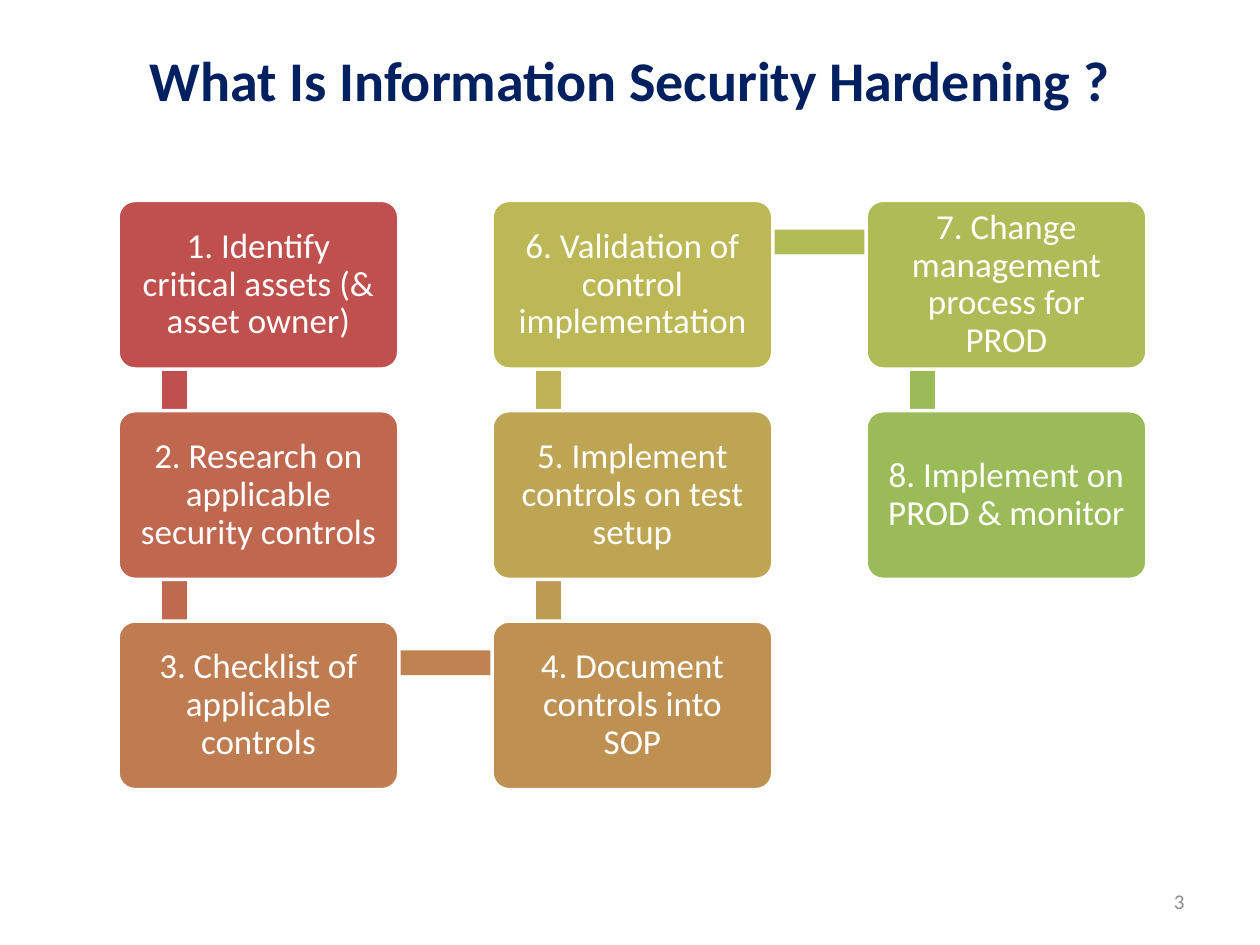
from pptx import Presentation
from pptx.dml.color import RGBColor
from pptx.enum.shapes import MSO_SHAPE
from pptx.enum.text import MSO_ANCHOR, PP_ALIGN
from pptx.util import Cm, Pt

RECTANGLE, ROUNDED = MSO_SHAPE.RECTANGLE, MSO_SHAPE.ROUNDED_RECTANGLE
CENTER, RIGHT = PP_ALIGN.CENTER, PP_ALIGN.RIGHT
MIDDLE = MSO_ANCHOR.MIDDLE

WHITE = RGBColor(0xFF, 0xFF, 0xFF)
NAVY = RGBColor(0x00, 0x20, 0x60)
GRAY = RGBColor(0x8C, 0x8C, 0x8C)
RED = RGBColor(0xC0, 0x50, 0x4D)
RUST = RGBColor(0xBF, 0x67, 0x4F)
RUST_LINK = RGBColor(0xBF, 0x6A, 0x4F)
COPPER = RGBColor(0xBF, 0x7C, 0x50)
COPPER_LINK = RGBColor(0xBE, 0x83, 0x51)
BRONZE = RGBColor(0xBE, 0x91, 0x52)
BRONZE_LINK = RGBColor(0xBD, 0x9B, 0x53)
GOLD = RGBColor(0xBD, 0xA5, 0x54)
GOLD_LINK = RGBColor(0xBD, 0xB2, 0x55)
OLIVE = RGBColor(0xBC, 0xB8, 0x56)
OLIVE_LINK = RGBColor(0xB1, 0xBC, 0x57)
LIME = RGBColor(0xAE, 0xBC, 0x57)
GREEN = RGBColor(0x9B, 0xBB, 0x59)

# Grid of steps, in centimetres
LEFT, TOP = 2.38, 4.04
STEP_WIDTH, STEP_HEIGHT = 5.66, 3.4
COLUMN_PITCH, ROW_PITCH = 7.54, 4.24
LINK_X, LINK_Y, LINK_SIZE = 1.14, 0.84, 0.5

# Column, row, text, box colour, colour of the link to the next step
STEPS = [
    (0, 0, "1. Identify critical assets (& asset owner)", RED, RED),
    (0, 1, "2. Research on applicable security controls", RUST, RUST_LINK),
    (0, 2, "3. Checklist of applicable controls", COPPER, COPPER_LINK),
    (1, 2, "4. Document controls into SOP", BRONZE, BRONZE_LINK),
    (1, 1, "5. Implement controls on test setup", GOLD, GOLD_LINK),
    (1, 0, "6. Validation of control implementation", OLIVE, OLIVE_LINK),
    (2, 0, "7. Change management process for PROD", LIME, GREEN),
    (2, 1, "8. Implement on PROD & monitor", GREEN, None),
]


class ProcessSlide:
    """Holds the text style and the current slide."""

    font_name = "Calibri"

    def __init__(self, page):
        self.page = page

    def add_text(self, box, text, color, size, bold=False, align=CENTER,
                 spacing=1.0, inset=0.25):
        frame = box.text_frame
        margins = {f"margin_{side}": Cm(inset) for side in ("left", "right", "top", "bottom")}
        para = frame.paragraphs[0]
        span = para.add_run()
        span.text = text
        formats = [
            (frame, {"word_wrap": True, "vertical_anchor": MIDDLE, **margins}),
            (para, {"alignment": align, "line_spacing": spacing}),
            (span.font, {"name": self.font_name, "size": Pt(size), "bold": bold}),
        ]
        for target, values in formats:
            for name, value in values.items():
                setattr(target, name, value)
        span.font.color.rgb = color

    def title(self, text):
        box = self.page.shapes.title
        place = {"left": 1.27, "top": 0.36, "width": 22.86, "height": 2.49}
        for name, value in place.items():
            setattr(box, name, Cm(value))
        self.add_text(box, text, NAVY, 32, bold=True)

    def page_number(self, text):
        box = self.page.shapes.add_textbox(Cm(18.21), Cm(17.65), Cm(5.92), Cm(1.02))
        self.add_text(box, text, GRAY, 12, align=RIGHT)

    def shape(self, kind, left, top, width, height, color):
        box = self.page.shapes.add_shape(kind, Cm(left), Cm(top), Cm(width), Cm(height))
        box.shadow.inherit = False
        box.fill.solid()
        box.fill.fore_color.rgb = color
        box.line.fill.background()
        return box

    def step(self, column, row, text, color):
        box = self.shape(ROUNDED, LEFT + column * COLUMN_PITCH, TOP + row * ROW_PITCH,
                         STEP_WIDTH, STEP_HEIGHT, color)
        box.adjustments[0] = 0.1
        box.line.color.rgb = WHITE
        box.line.width = Pt(2)
        self.add_text(box, text, WHITE, 20, spacing=0.9, inset=0.3)

    def link(self, start, end, color):
        """Draws a bar between the link points of two neighbouring steps."""
        column, row = min(start[0], end[0]), min(start[1], end[1])
        x = LEFT + column * COLUMN_PITCH + LINK_X
        y = TOP + row * ROW_PITCH + LINK_Y
        if start[0] == end[0]:
            self.shape(RECTANGLE, x - LINK_SIZE / 2, y, LINK_SIZE, ROW_PITCH, color)
        else:
            self.shape(RECTANGLE, x, y - LINK_SIZE / 2, COLUMN_PITCH, LINK_SIZE, color)


def main():
    deck = Presentation()
    deck.slide_width, deck.slide_height = Cm(25.4), Cm(19.05)
    slide = ProcessSlide(deck.slides.add_slide(deck.slide_layouts[5]))

    # Title and page number
    slide.title("What Is Information Security Hardening ?")
    slide.page_number("3")

    # Links lie behind the steps
    for current, following in zip(STEPS, STEPS[1:]):
        slide.link(current[:2], following[:2], current[4])
    for column, row, text, color, _ in STEPS:
        slide.step(column, row, text, color)

    deck.save("out.pptx")


if __name__ == "__main__":
    main()
